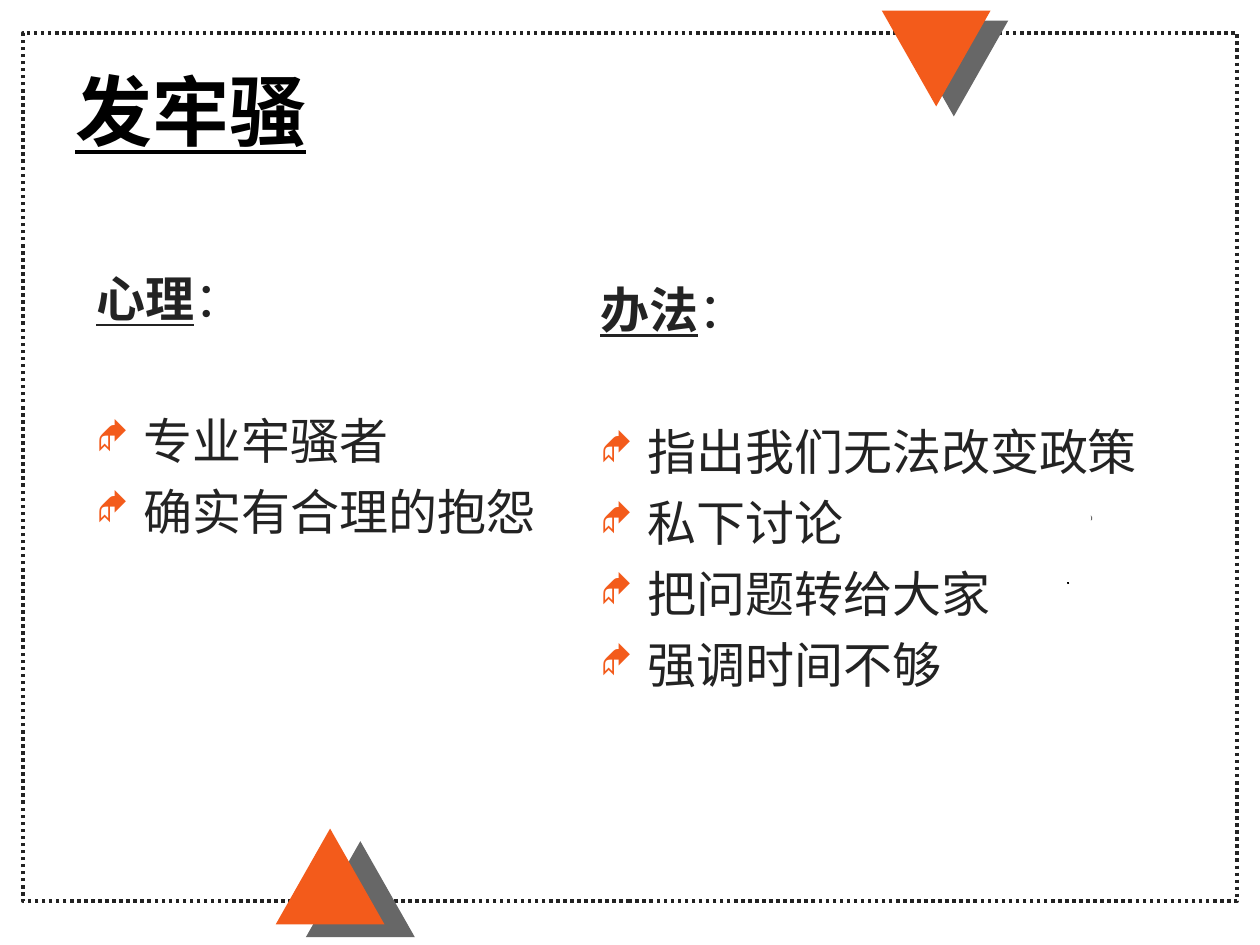
from dataclasses import dataclass
from typing import Any

from lxml import etree
from pptx import Presentation
from pptx.dml.color import RGBColor
from pptx.enum.dml import MSO_LINE
from pptx.enum.shapes import MSO_SHAPE
from pptx.enum.text import MSO_ANCHOR
from pptx.oxml.ns import qn
from pptx.util import Pt

RECTANGLE = MSO_SHAPE.RECTANGLE
TRIANGLE = MSO_SHAPE.ISOSCELES_TRIANGLE
DOTTED = MSO_LINE.ROUND_DOT
MIDDLE = MSO_ANCHOR.MIDDLE


@dataclass(frozen=True)
class Theme:
    ink: str = "232323"
    black: str = "000000"
    accent: str = "F35B1B"
    shade: str = "676767"
    title_font: str = "Noto Sans CJK JP"
    body_font: str = "Noto Sans CJK SC"
    bullet_font: str = "Wingdings"
    title_size: float = 44
    body_size: float = 28
    item_gap: float = 7
    heading_gap: float = 47.5
    indent: float = 27


@dataclass(frozen=True)
class Box:
    left: float
    top: float
    width: float
    height: float


@dataclass(frozen=True)
class Triangle:
    box: Box
    color: str
    rotation: float = 0


@dataclass(frozen=True)
class Column:
    box: Box
    heading: str
    items: tuple[str, ...]


@dataclass(frozen=True)
class Mark:
    points: tuple[tuple[float, float], ...]
    closed: bool


THEME = Theme()
FRAME = Box(13, 19, 694, 496)
TITLE_BOX = Box(36, 35.5, 610.6, 54)
TRIANGLES = (
    Triangle(Box(514.8, 12.2, 60.5, 53.3), THEME.shade, 180),
    Triangle(Box(504.7, 6.5, 60.5, 53.3), THEME.accent, 180),
    Triangle(Box(175.7, 481.7, 60.5, 53.3), THEME.shade),
    Triangle(Box(158.4, 474.5, 60.5, 53.3), THEME.accent),
)
COLUMNS = (
    Column(Box(48, 150, 270, 276), "心理", ("专业牢骚者", "确实有合理的抱怨")),
    Column(
        Box(336, 156, 324, 288),
        "办法",
        ("指出我们无法改变政策", "私下讨论", "把问题转给大家", "强调时间不够"),
    ),
)
MARKS = (
    Mark(((623.3, 294.5), (624.1, 295.5), (624.1, 297), (623.4, 297.5), (623.6, 296)), True),
    Mark(((611, 333.2), (609.9, 333.2), (609.9, 332.7)), False),
)


def apply_format(target: Any, values: dict[str, Any]) -> None:
    for name, value in values.items():
        setattr(target, name, value)


def paint(color_format: Any, color: str) -> None:
    color_format.solid()
    color_format.fore_color.rgb = RGBColor.from_string(color)


def place(box: Box) -> tuple[Pt, Pt, Pt, Pt]:
    return Pt(box.left), Pt(box.top), Pt(box.width), Pt(box.height)


def draw_frame(page: Any) -> None:
    frame = page.shapes.add_shape(RECTANGLE, *place(FRAME))
    frame.shadow.inherit = False
    frame.fill.background()
    paint(frame.line.fill, THEME.ink)
    apply_format(frame.line, {"width": Pt(2), "dash_style": DOTTED})


def draw_triangle(page: Any, triangle: Triangle) -> None:
    shape = page.shapes.add_shape(TRIANGLE, *place(triangle.box))
    shape.shadow.inherit = False
    shape.rotation = triangle.rotation
    paint(shape.fill, triangle.color)
    paint(shape.line.fill, triangle.color)
    shape.line.width = Pt(1)
    outline = shape._element.spPr.find(qn("a:ln"))
    etree.SubElement(outline, qn("a:miter")).set("lim", "800000")


def draw_mark(page: Any, mark: Mark) -> None:
    points = [(Pt(x), Pt(y)) for x, y in mark.points]
    builder = page.shapes.build_freeform(*points[0], scale=1.0)
    builder.add_line_segments(points[1:], close=mark.closed)
    shape = builder.convert_to_shape()
    shape.shadow.inherit = False
    if mark.closed:
        paint(shape.fill, THEME.shade)
        shape.line.fill.background()
    else:
        shape.fill.background()
        paint(shape.line.fill, THEME.black)
        shape.line.width = Pt(0)


def add_text_frame(page: Any, box: Box) -> Any:
    frame = page.shapes.add_textbox(*place(box)).text_frame
    frame.word_wrap = True
    return frame


def add_span(para: Any, text: str, font: str, size: float, color: str, strong: bool) -> None:
    span = para.add_run()
    span.text = text
    apply_format(
        span.font,
        {"name": font, "size": Pt(size), "bold": strong, "underline": strong},
    )
    span.font.color.rgb = RGBColor.from_string(color)
    properties = span._r.get_or_add_rPr()
    etree.SubElement(properties, qn("a:ea")).set("typeface", font)


def add_body_span(para: Any, text: str, strong: bool = False) -> None:
    add_span(para, text, THEME.body_font, THEME.body_size, THEME.ink, strong)


def add_bullet(para: Any) -> None:
    properties = para._p.get_or_add_pPr()
    properties.set("marL", str(Pt(THEME.indent)))
    properties.set("indent", str(-Pt(THEME.indent)))
    color = etree.SubElement(properties, qn("a:buClr"))
    etree.SubElement(color, qn("a:srgbClr")).set("val", THEME.accent)
    etree.SubElement(properties, qn("a:buSzPct")).set("val", "75000")
    etree.SubElement(properties, qn("a:buFont")).set("typeface", THEME.bullet_font)
    etree.SubElement(properties, qn("a:buChar")).set("char", "◆")


def draw_title(page: Any) -> None:
    frame = add_text_frame(page, TITLE_BOX)
    frame.vertical_anchor = MIDDLE
    add_span(frame.paragraphs[0], "发牢骚", THEME.title_font, THEME.title_size, THEME.black, True)


def draw_column(page: Any, column: Column) -> None:
    frame = add_text_frame(page, column.box)
    heading = frame.paragraphs[0]
    add_body_span(heading, column.heading, strong=True)
    add_body_span(heading, "：")
    for index, item in enumerate(column.items):
        para = frame.add_paragraph()
        add_bullet(para)
        para.space_before = Pt(THEME.item_gap if index else THEME.heading_gap)
        add_body_span(para, item)


def main() -> None:
    deck = Presentation()
    apply_format(deck, {"slide_width": Pt(720), "slide_height": Pt(540)})
    page = deck.slides.add_slide(deck.slide_layouts[6])
    draw_frame(page)
    for triangle in TRIANGLES:
        draw_triangle(page, triangle)
    for mark in MARKS:
        draw_mark(page, mark)
    draw_title(page)
    for column in COLUMNS:
        draw_column(page, column)
    deck.save("out.pptx")


if __name__ == "__main__":
    main()
